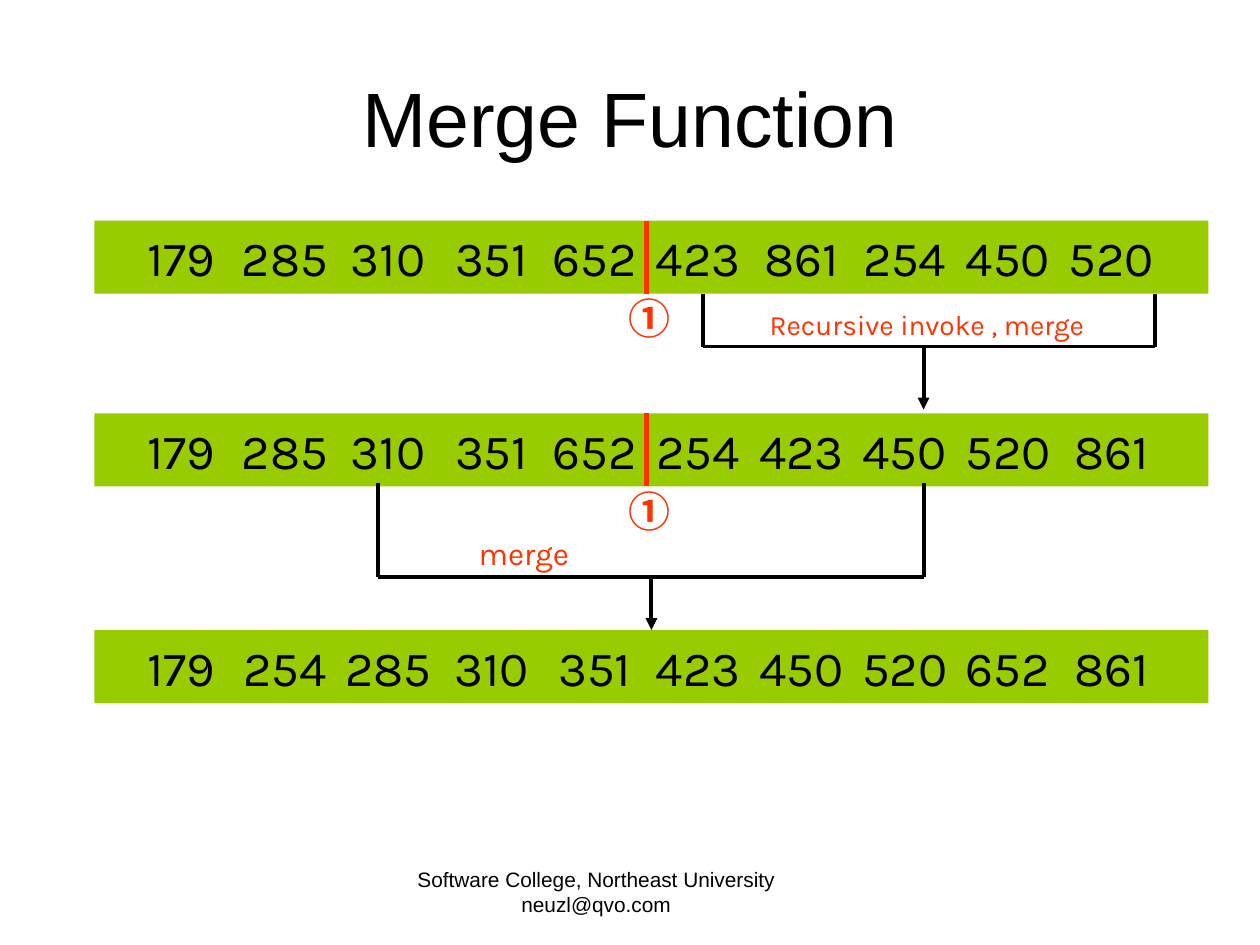
from lxml import etree
from pptx import Presentation
from pptx.dml.color import RGBColor
from pptx.enum import shapes, text
from pptx.oxml.ns import qn
from pptx.util import Inches, Pt


class Theme:
    black = RGBColor(0x00, 0x00, 0x00)
    red = RGBColor(0xFF, 0x33, 0x00)
    green = RGBColor(0x99, 0xCC, 0x00)
    sans, body, mark = "Arial", "Karla", "Noto Sans CJK SC"
    title, row, badge, big, small, foot = 44, 28, 24, 18, 16, 11.9
    thick, thin = 3, 2.25


def write(shape, lines, font, size, color, align, pad, wrap=True, bold=False):
    frame = shape.text_frame
    frame.word_wrap = wrap
    frame.margin_left = frame.margin_right = Inches(pad[0])
    frame.margin_top = frame.margin_bottom = Inches(pad[1])
    for i, line in enumerate(lines):
        para = frame.add_paragraph() if i else frame.paragraphs[0]
        para.alignment = align
        run = para.add_run()
        run.text = line
        run.font.name, run.font.size, run.font.bold = font, Pt(size), bold
        run.font.color.rgb = color
        east = etree.SubElement(run.font._element, qn("a:ea"))
        east.set("typeface", font)
    return frame


def draw(x1, y1, x2, y2, color=Theme.black, width=Theme.thin, arrow=False):
    line = slide.shapes.add_connector(
        shapes.MSO_CONNECTOR.STRAIGHT, Inches(x1), Inches(y1), Inches(x2), Inches(y2))
    line.line.color.rgb = color
    line.line.width = Pt(width)
    if arrow:
        etree.SubElement(line.line._get_or_add_ln(), qn("a:tailEnd"), type="triangle")
    etree.SubElement(line._element.spPr, qn("a:effectLst"))
    return line


deck = Presentation()
deck.slide_width, deck.slide_height = Inches(10), Inches(7.5)
slide = deck.slides.add_slide(deck.slide_layouts[6])
left, mid = text.PP_ALIGN.LEFT, text.PP_ALIGN.CENTER

foot = slide.shapes.add_textbox(Inches(2.72), Inches(6.83), Inches(4.02), Inches(0.52))
write(foot, ["Software College, Northeast University", "neuzl@qvo.com"],
      Theme.sans, Theme.foot, Theme.black, mid, (0.1, 0.05))

title = slide.shapes.add_textbox(Inches(0.5), Inches(0.3), Inches(9), Inches(1.25))
frame = write(title, ["Merge Function"], Theme.sans, Theme.title, Theme.black, mid, (0.1, 0.05))
frame.vertical_anchor = text.MSO_ANCHOR.MIDDLE

rows = [
    (1.75, True, (179, 285, 310, 351, 652, 423, 861, 254, 450, 520)),
    (3.28, True, (179, 285, 310, 351, 652, 254, 423, 450, 520, 861)),
    (5, False, (179, 254, 285, 310, 351, 423, 450, 520, 652, 861)),
]
high, first, step, split = 0.58, 0.69, 0.82, 5.13
bars = []
for top, halves, values in rows:
    bar = slide.shapes.add_shape(
        shapes.MSO_SHAPE.RECTANGLE, Inches(0.75), Inches(top), Inches(8.84), Inches(high))
    bar.shadow.inherit = False
    bar.fill.solid()
    bar.fill.fore_color.rgb = Theme.green
    bar.line.fill.background()
    bars.append(bar)
    line = "".join(f"\t{value}" for value in values)
    frame = write(bar, [line], Theme.body, Theme.row, Theme.black, left, (0, 0.05))
    frame.vertical_anchor = text.MSO_ANCHOR.MIDDLE
    tabs = etree.SubElement(frame.paragraphs[0]._p.get_or_add_pPr(), qn("a:tabLst"))
    for i in range(len(values)):
        etree.SubElement(tabs, qn("a:tab"), pos=str(Inches(first + i * step)), algn="ctr")
    if halves:
        draw(split, top, split, top + high, Theme.red, Theme.thick)
        badge = slide.shapes.add_textbox(
            Inches(4.99), Inches(top + 0.57), Inches(0.28), Inches(0.4))
        write(badge, ["①"], Theme.mark, Theme.badge, Theme.red, left, (0, 0), False, True)

steps = [
    (5.58, 9.17, 2.33, 2.75, 7.33, 3.25, None,
     "Recursive invoke , merge", Theme.small, (6.01, 2.39, 2.8, 0.37)),
    (3, 7.33, 3.83, 4.58, 5.17, 5, bars[2],
     "merge", Theme.big, (3.7, 4.19, 0.97, 0.4)),
]
for x1, x2, top, base, stem, tip, goal, words, size, place in steps:
    draw(x1, top, x1, base)
    draw(x1, base, x2, base)
    draw(x2, base, x2, top)
    arrow = draw(stem, base, stem, tip, arrow=True)
    if goal is not None:
        arrow.end_connect(goal, 0)
    label = slide.shapes.add_textbox(*map(Inches, place))
    write(label, [words], Theme.body, size, Theme.red, left, (0.1, 0.05), False)

deck.save("out.pptx")
